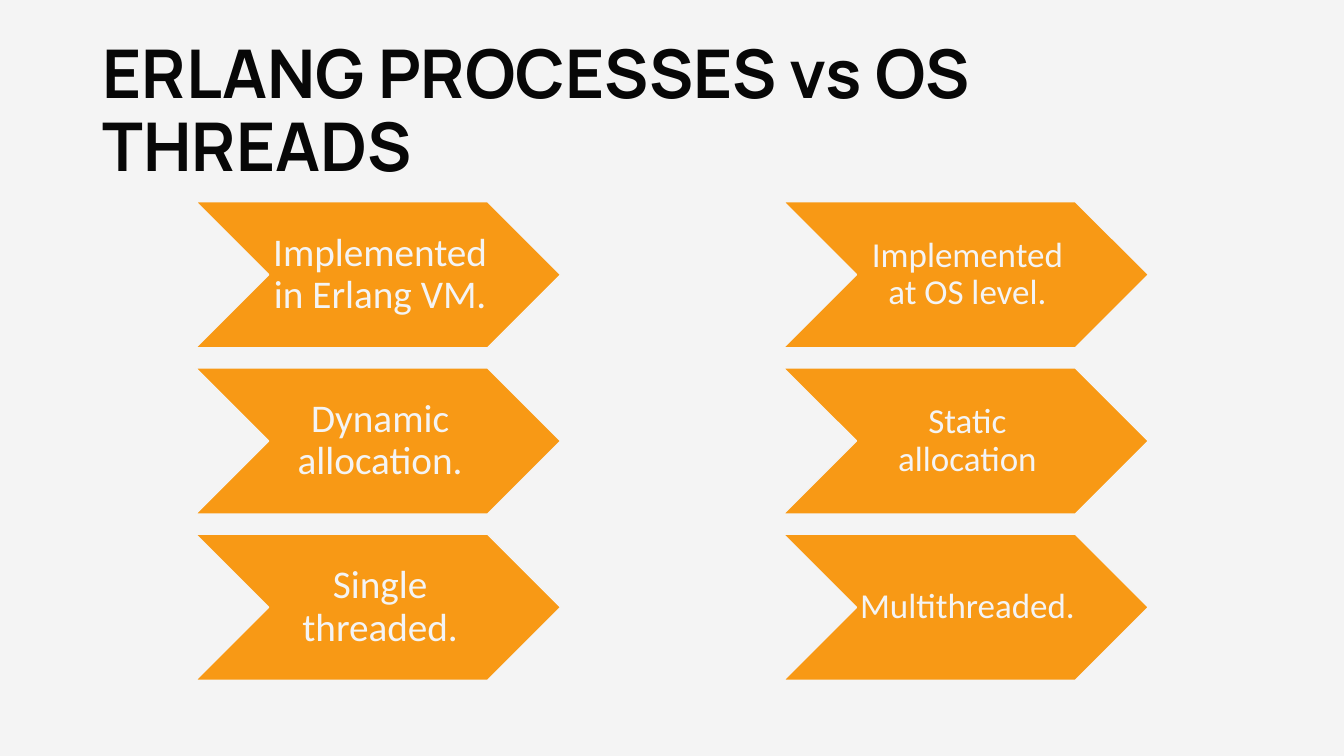
from pptx import Presentation
from pptx.dml.color import RGBColor
from pptx.enum.shapes import MSO_SHAPE
from pptx.enum.text import MSO_ANCHOR, PP_ALIGN
from pptx.util import Inches, Pt

CHEVRON = MSO_SHAPE.CHEVRON
MIDDLE = MSO_ANCHOR.MIDDLE
CENTER, LEFT = PP_ALIGN.CENTER, PP_ALIGN.LEFT

TITLE = "ERLANG PROCESSES vs OS THREADS"
COLUMNS = [
    {"left": 1.94, "size": 28, "inset": 0.04,
     "points": ["Implemented in Erlang VM.", "Dynamic allocation.", "Single threaded."]},
    {"left": 7.77, "size": 25, "inset": 0.03,
     "points": ["Implemented at OS level.", "Static allocation", "Multithreaded."]},
]
THEME = {
    "light": RGBColor.from_string("F4F4F4"),
    "dark": RGBColor.from_string("070707"),
    "accent": RGBColor.from_string("F89915"),
    "title_font": "Manrope",
    "body_font": "Calibri",
    "title_size": 48,
}
TOP, PITCH = 2, 1.65
CHEVRON_W, CHEVRON_H = 3.62, 1.45


def write(s, text, font, size, color, align, insets, bold=False):
    tf = s.text_frame
    tf.word_wrap = True
    tf.vertical_anchor = MIDDLE
    tf.margin_left, tf.margin_top, tf.margin_right, tf.margin_bottom = map(Inches, insets)
    p = tf.paragraphs[0]
    p.text = text
    p.alignment = align
    p.line_spacing = 0.9
    p.font.name = font
    p.font.size = Pt(size)
    p.font.bold = bold
    p.font.color.rgb = color


def add_chevron(slide, column, row, text):
    s = slide.shapes.add_shape(CHEVRON, Inches(column["left"]), Inches(TOP + row * PITCH),
                               Inches(CHEVRON_W), Inches(CHEVRON_H))
    s.shadow.inherit = False
    s.fill.solid()
    s.fill.fore_color.rgb = THEME["accent"]
    s.line.color.rgb = THEME["light"]
    s.line.width = Pt(1)
    write(s, text, THEME["body_font"], column["size"], THEME["light"], CENTER,
          (column["inset"], 0.02, 0, 0.02))


def main():
    prs = Presentation()
    prs.slide_width, prs.slide_height = Inches(13.33), Inches(7.5)
    slide = prs.slides.add_slide(prs.slide_layouts[6])
    slide.background.fill.solid()
    slide.background.fill.fore_color.rgb = THEME["light"]

    title = slide.shapes.add_textbox(Inches(0.92), Inches(0.4), Inches(11.5), Inches(1.45))
    write(title, TITLE, THEME["title_font"], THEME["title_size"], THEME["dark"], LEFT,
          (0.1, 0.05, 0.1, 0.05), bold=True)

    for column in COLUMNS:
        for row, text in enumerate(column["points"]):
            add_chevron(slide, column, row, text)

    prs.save("out.pptx")


if __name__ == "__main__":
    main()
